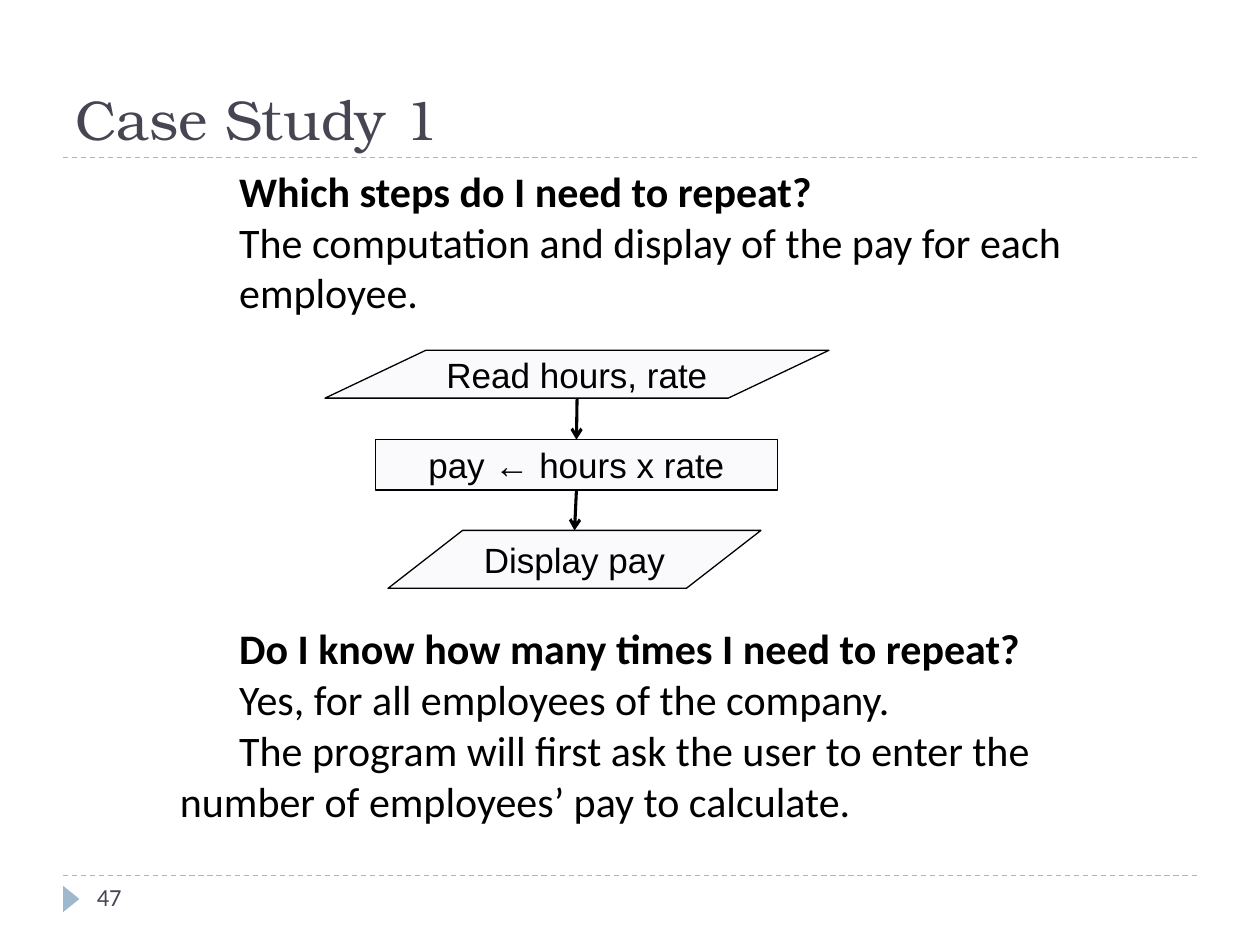
import pptx
import pptx.util
import pptx.dml.color
import pptx.enum.dml
import pptx.enum.shapes
import pptx.enum.text
import pptx.oxml.ns
from lxml import etree

Inches, Pt = pptx.util.Inches, pptx.util.Pt
SHAPE = pptx.enum.shapes.MSO_SHAPE
ALIGN = pptx.enum.text.PP_ALIGN
ANCHOR = pptx.enum.text.MSO_ANCHOR
qn = pptx.oxml.ns.qn

ACCENT, DARK, BLACK, PALE = "9FB8CD", "464653", "000000", "FAFAFC"


def color(value):
    return pptx.dml.color.RGBColor.from_string(value)


def style(p, name, size, value, bold=False):
    for r in p.runs:
        r.font.name, r.font.size, r.font.bold = name, Pt(size), bold
        r.font.color.rgb = color(value)


def add_text(s, box, text, name, size, value, anchor=ANCHOR.TOP):
    tf = s.shapes.add_textbox(*map(Inches, box)).text_frame
    tf.word_wrap = True
    tf.vertical_anchor = anchor
    tf.text = text
    for p in tf.paragraphs:
        style(p, name, size, value)
    return tf


def add_line(s, start, end, value, width, dashed=False, arrow=False):
    line = s.shapes.add_connector(pptx.enum.shapes.MSO_CONNECTOR.STRAIGHT,
                                  *map(Inches, start + end))
    line.line.color.rgb = color(value)
    line.line.width = Pt(width)
    if dashed:
        line.line.dash_style = pptx.enum.dml.MSO_LINE.DASH
    if arrow:
        etree.SubElement(line.line._get_or_add_ln(), qn("a:tailEnd"), type="arrow")
    etree.SubElement(line._element.spPr, qn("a:effectLst"))


def add_shape(s, kind, box, fill):
    sp = s.shapes.add_shape(kind, *map(Inches, box))
    sp.shadow.inherit = False
    sp.fill.solid()
    sp.fill.fore_color.rgb = color(fill)
    sp.line.fill.background()
    return sp


def add_frame(s, left, right, title_rule, footer_rule):
    # Dashed rules and page marker
    for y in (title_rule, footer_rule):
        add_line(s, (left, y), (right, y), ACCENT, 0.75, dashed=True)
    marker = add_shape(s, SHAPE.ISOSCELES_TRIANGLE,
                       (left - 0.04, footer_rule + 0.12, 0.21, 0.13), ACCENT)
    marker.rotation = 90
    add_text(s, (left + 0.17, footer_rule, 2.17, 0.4), "47", "Calibri", 14, DARK)


def add_answer(s, box, lines, indent=0.47, outdented=()):
    # Bold question followed by indented answer lines
    tf = add_text(s, box, "\n".join(lines), "Calibri", 24, BLACK)
    for i, p in enumerate(tf.paragraphs):
        p.line_spacing = 0.8
        p.space_before = Pt(6 if i else 0)
        if i not in outdented:
            p._p.get_or_add_pPr().set("marL", str(Inches(indent)))
    style(tf.paragraphs[0], "Calibri", 24, BLACK, bold=True)


def add_flowchart(s, steps):
    # Steps, then an arrow between each neighbouring pair
    for kind, box, text in steps:
        sp = add_shape(s, kind, box, PALE)
        sp.line.color.rgb = color(BLACK)
        sp.line.width = Pt(0.75)
        tf = sp.text_frame
        tf.word_wrap = False
        tf.vertical_anchor = ANCHOR.MIDDLE
        tf.text = text
        tf.paragraphs[0].alignment = ALIGN.CENTER
        style(tf.paragraphs[0], "Arial", 20, BLACK)
    for (_, upper, _), (_, lower, _) in zip(steps, steps[1:]):
        start = (upper[0] + upper[2] / 2, upper[1] + upper[3])
        end = (lower[0] + lower[2] / 2, lower[1])
        add_line(s, start, end, BLACK, 1.75, arrow=True)


def main():
    prs = pptx.Presentation()
    prs.slide_width, prs.slide_height = Inches(10), Inches(7.5)
    s = prs.slides.add_slide(prs.slide_layouts[6])

    add_frame(s, 0.5, 9.5, 1.25, 6.95)
    add_text(s, (0.5, 0.17, 9, 1.08), "Case Study 1", "TeX Gyre Bonum", 32, DARK,
             ANCHOR.BOTTOM)
    add_answer(s, (1.33, 1.34, 8.17, 1.3), [
        "Which steps do I need to repeat?",
        "The computation and display of the pay for each",
        "employee."])
    add_flowchart(s, [
        (SHAPE.FLOWCHART_DATA, (2.58, 2.78, 4, 0.38), "Read hours, rate"),
        (SHAPE.FLOWCHART_PROCESS, (2.98, 3.49, 3.19, 0.4), "pay ← hours x rate"),
        (SHAPE.FLOWCHART_DATA, (3.08, 4.21, 2.96, 0.46), "Display pay")])
    add_answer(s, (1.33, 4.97, 8.17, 1.7), [
        "Do I know how many times I need to repeat?",
        "Yes, for all employees of the company.",
        "The program will first ask the user to enter the",
        "number of employees’ pay to calculate."], outdented=(3,))

    prs.save("out.pptx")


if __name__ == "__main__":
    main()
